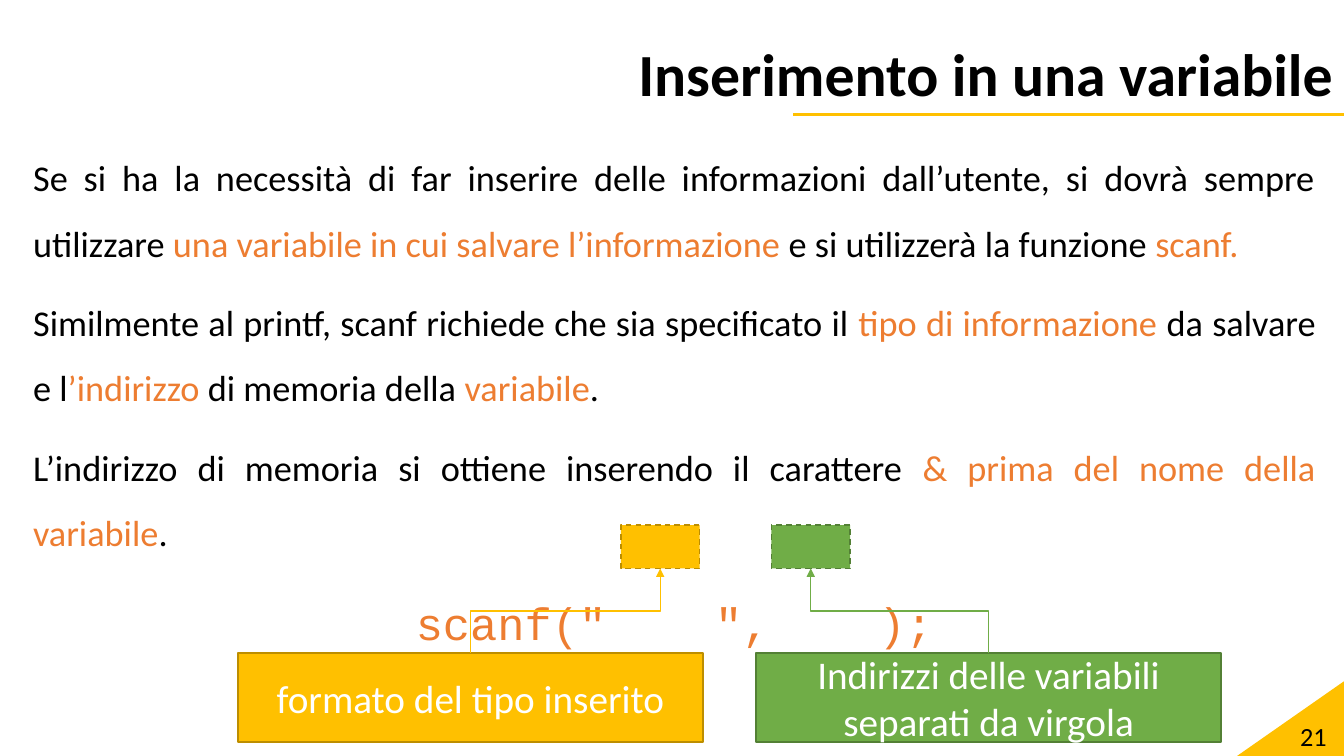
import pptx
import pptx.dml.color
import pptx.enum.dml
import pptx.enum.shapes
import pptx.enum.text
import pptx.oxml.ns
import pptx.util
from lxml import etree

COLORS = {
    "black": "000000", "white": "FFFFFF", "orange": "ED7D31",
    "yellow": "FFC000", "yellow_edge": "BD8E00",
    "green": "70AD47", "green_edge": "538035",
}
WIDTH = pptx.util.Inches(13.333)
HEIGHT = pptx.util.Inches(7.5)
ALIGN = pptx.enum.text.PP_ALIGN
MIDDLE = pptx.enum.text.MSO_ANCHOR.MIDDLE
TOP = pptx.enum.text.MSO_ANCHOR.TOP
SHAPE = pptx.enum.shapes.MSO_SHAPE
CONNECTOR = pptx.enum.shapes.MSO_CONNECTOR

PARAGRAPHS = [
    ["Se si ha la necessità di far inserire delle informazioni dall’utente, "
     "si dovrà sempre utilizzare ",
     "una variabile in cui salvare l’informazione ",
     "e si utilizzerà la funzione ", "scanf."],
    ["Similmente al printf, scanf richiede che sia specificato il ",
     "tipo di informazione ", "da salvare e l", "’indirizzo",
     " di memoria della ", "variabile", "."],
    ["L’indirizzo di memoria si ottiene inserendo il carattere ",
     "& prima del nome della variabile", "."],
]
STATEMENT = 'scanf("    ",    );'
CALLOUTS = [
    ("yellow", 46.2, 17.7, "formato del tipo inserito"),
    ("green", 57.4, 56.25, "Indirizzi delle variabili separati da virgola"),
]


def rgb(name):
    """Return the named colour."""
    return pptx.dml.color.RGBColor.from_string(COLORS[name])


def area(left, top, width, height):
    """Turn percentages of the slide into left, top, width and height."""
    return [int(share * side / 100) for share, side in
            zip((left, top, width, height), (WIDTH, HEIGHT) * 2)]


def apply(target, **values):
    """Set each given attribute on the target."""
    for name, value in values.items():
        setattr(target, name, value)


def add_run(paragraph, text, size, color="black", font="Calibri", bold=False):
    """Append a formatted run."""
    run = paragraph.add_run()
    run.text = text
    apply(run.font, name=font, size=pptx.util.Pt(size), bold=bold)
    run.font.color.rgb = rgb(color)


def prepare_frame(shape, anchor=MIDDLE):
    """Wrap and anchor a shape's text, and return its frame."""
    apply(shape.text_frame, word_wrap=True, vertical_anchor=anchor,
          auto_size=pptx.enum.text.MSO_AUTO_SIZE.NONE)
    return shape.text_frame


def add_filled(slide, kind, place, fill, edge=None, dashed=False):
    """Add a flat preset shape with an optional outline."""
    shape = slide.shapes.add_shape(kind, *area(*place))
    shape.shadow.inherit = False
    shape.fill.solid()
    shape.fill.fore_color.rgb = rgb(fill)
    if edge is None:
        shape.line.fill.background()
    else:
        shape.line.color.rgb = rgb(edge)
        shape.line.width = pptx.util.Pt(1)
    if dashed:
        shape.line.dash_style = pptx.enum.dml.MSO_LINE.DASH
    return shape


def add_line(slide, kind, ends, color, width):
    """Add a flat connector between two points."""
    connector = slide.shapes.add_connector(kind, *ends)
    connector.line.color.rgb = rgb(color)
    connector.line.width = pptx.util.Pt(width)
    properties = connector._element.spPr
    etree.SubElement(properties, pptx.oxml.ns.qn("a:effectLst"))
    return connector


def add_elbow_arrow(slide, label, target, color):
    """Join a label's top to a target's bottom with an upward elbow arrow."""
    start_x, start_y = label.left + label.width // 2, label.top
    end_x, end_y = target.left + target.width // 2, target.top + target.height
    ends = (start_x, start_y, end_x, end_y)
    connector = add_line(slide, CONNECTOR.ELBOW, ends, color, 1)
    connector.begin_connect(label, 0)
    connector.end_connect(target, 2)
    rise, run = start_y - end_y, abs(end_x - start_x)
    apply(connector, left=(start_x + end_x - rise) // 2,
          top=(start_y + end_y - run) // 2, width=rise, height=run)
    transform = connector._element.spPr.find(pptx.oxml.ns.qn("a:xfrm"))
    apply(transform, rot=270.0, flipH=False, flipV=end_x < start_x)
    outline = connector.line._get_or_add_ln()
    etree.SubElement(outline, pptx.oxml.ns.qn("a:tailEnd"), type="triangle")


def add_decoration(slide):
    """Add the corner triangle and the rule below the title."""
    corner = add_filled(slide, SHAPE.RIGHT_TRIANGLE,
                        (92.05, 90.13, 7.95, 9.87), "yellow")
    corner._element.spPr.find(pptx.oxml.ns.qn("a:xfrm")).flipH = True
    ends = area(59.03, 15.2, 100, 15.2)
    add_line(slide, CONNECTOR.STRAIGHT, ends, "yellow", 2.25)


def add_title(slide, text):
    """Place and format the title."""
    title = slide.shapes.title
    sides = ("left", "top", "width", "height")
    apply(title, **dict(zip(sides, area(0, 5.33, 100, 9.87))))
    paragraph = prepare_frame(title).paragraphs[0]
    apply(paragraph, alignment=ALIGN.RIGHT, line_spacing=0.9)
    add_run(paragraph, text, 42.7, bold=True)


def add_page_number(slide, number):
    """Add the page number in the corner."""
    box = slide.shapes.add_textbox(*area(76.95, 94.67, 22.5, 5.33))
    paragraph = prepare_frame(box).paragraphs[0]
    paragraph.alignment = ALIGN.RIGHT
    add_run(paragraph, number, 18.7)


def add_body(slide):
    """Add the explanation, with every second part highlighted."""
    box = slide.shapes.add_textbox(*area(1.73, 17.07, 96.9, 73.07))
    frame = prepare_frame(box, TOP)
    for index in range(len(PARAGRAPHS)):
        paragraph = frame.add_paragraph() if index else frame.paragraphs[0]
        paragraph.alignment = ALIGN.JUSTIFY
        for position, part in enumerate(PARAGRAPHS[index]):
            add_run(paragraph, part, 25.9, ("black", "orange")[position % 2])
    statement = frame.add_paragraph()
    statement.alignment = ALIGN.CENTER
    add_run(statement, STATEMENT, 32.4, "orange", "Courier New")
    for paragraph in frame.paragraphs:
        apply(paragraph, line_spacing=1.5, space_before=pptx.util.Pt(10))


def add_callout(slide, color, slot_left, label_left, text):
    """Add a dashed slot, its label and the arrow between them."""
    edge = color + "_edge"
    slot = add_filled(slide, SHAPE.RECTANGLE,
                      (slot_left, 69.47, 5.85, 5.73), color, edge, True)
    label = add_filled(slide, SHAPE.RECTANGLE,
                       (label_left, 86.4, 34.6, 11.73), color, edge)
    paragraph = prepare_frame(label).paragraphs[0]
    paragraph.alignment = ALIGN.CENTER
    add_run(paragraph, text, 28, "white")
    add_elbow_arrow(slide, label, slot, color)


def main():
    """Build and save the slide."""
    presentation = pptx.Presentation()
    apply(presentation, slide_width=WIDTH, slide_height=HEIGHT)
    slide = presentation.slides.add_slide(presentation.slide_layouts[5])
    add_decoration(slide)
    add_title(slide, "Inserimento in una variabile")
    add_page_number(slide, "21")
    add_body(slide)
    for callout in CALLOUTS:
        add_callout(slide, *callout)
    presentation.save("out.pptx")


if __name__ == "__main__":
    main()
